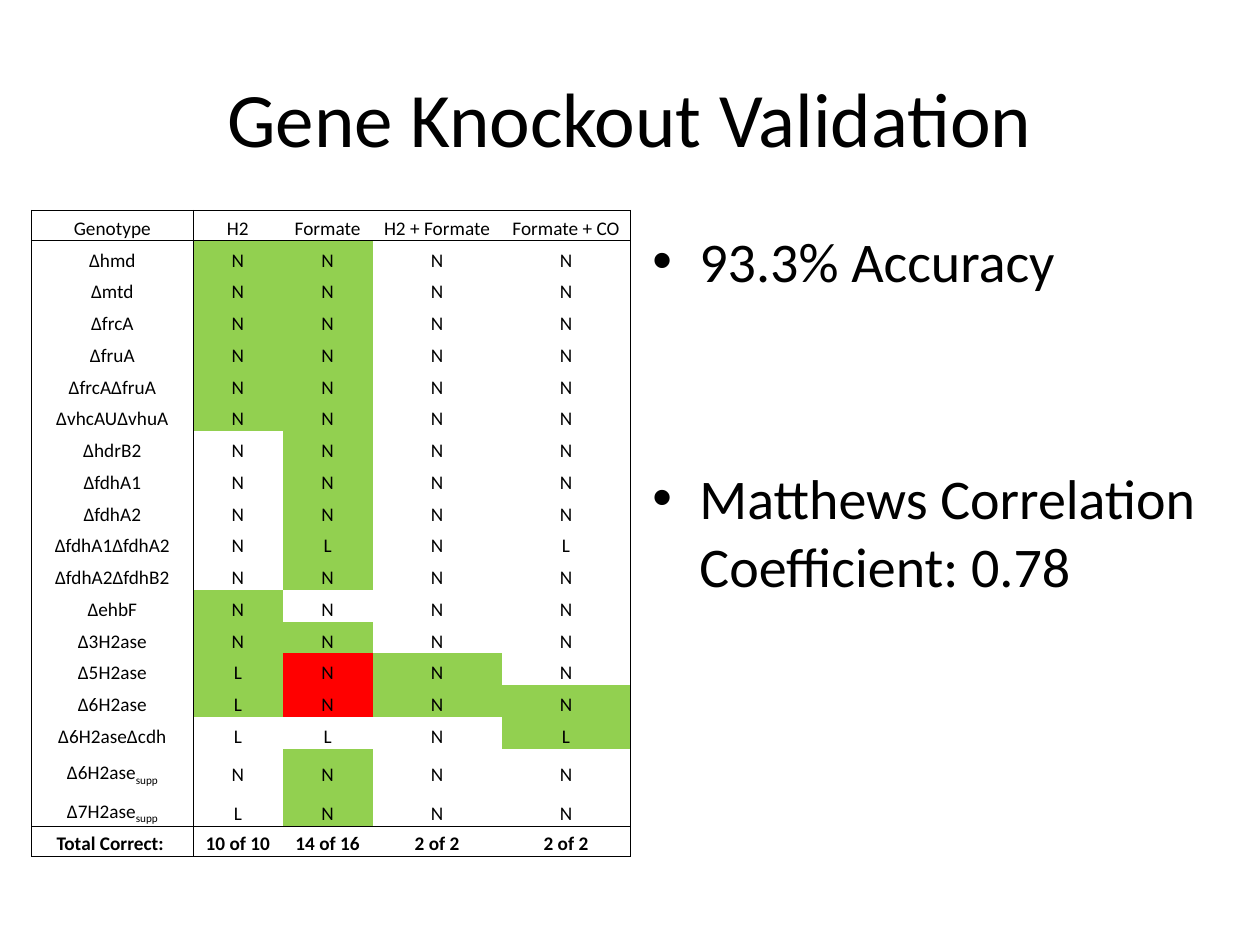
from pptx import Presentation
from pptx.dml.color import RGBColor
from pptx.enum.text import MSO_ANCHOR, PP_ALIGN
from pptx.oxml.ns import qn
from pptx.util import Cm, Pt
from lxml import etree

CENTER = PP_ALIGN.CENTER
MIDDLE, BOTTOM = MSO_ANCHOR.MIDDLE, MSO_ANCHOR.BOTTOM
FONT = "Calibri"
COLORS = {"text": "000000", "correct": "92D050", "wrong": "FF0000"}
FILLS = {"G": "correct", "R": "wrong"}


def format_run(run, size, bold=False):
    run.font.name = FONT
    run.font.size = Pt(size)
    run.font.bold = bold
    run.font.color.rgb = RGBColor.from_string(COLORS["text"])


def add_border(cell, side, visible):
    line = etree.SubElement(cell._tc.get_or_add_tcPr(), qn("a:ln" + side), w=str(Pt(0.5)))
    if visible:
        fill = etree.SubElement(line, qn("a:solidFill"))
        etree.SubElement(fill, qn("a:srgbClr"), val=COLORS["text"])
    else:
        etree.SubElement(line, qn("a:noFill"))


prs = Presentation()
prs.slide_width, prs.slide_height = Cm(25.4), Cm(19.05)
slide = prs.slides.add_slide(prs.slide_layouts[5])

# Title
title = slide.shapes.title
title.left, title.top, title.width, title.height = Cm(1.27), Cm(0.76), Cm(22.86), Cm(3.18)
title.text_frame.text = "Gene Knockout Validation"
title.text_frame.vertical_anchor = MIDDLE
title.text_frame.paragraphs[0].alignment = CENTER
format_run(title.text_frame.paragraphs[0].runs[0], 44)

# Table content: genotype, growth per medium, fill per medium (G correct, R wrong)
knockouts = [
    ("∆hmd", "NNNN", "GG--"),
    ("∆mtd", "NNNN", "GG--"),
    ("∆frcA", "NNNN", "GG--"),
    ("∆fruA", "NNNN", "GG--"),
    ("∆frcA∆fruA", "NNNN", "GG--"),
    ("∆vhcAU∆vhuA", "NNNN", "GG--"),
    ("∆hdrB2", "NNNN", "-G--"),
    ("∆fdhA1", "NNNN", "-G--"),
    ("∆fdhA2", "NNNN", "-G--"),
    ("∆fdhA1∆fdhA2", "NLNL", "-G--"),
    ("∆fdhA2∆fdhB2", "NNNN", "-G--"),
    ("∆ehbF", "NNNN", "G---"),
    ("∆3H2ase", "NNNN", "GG--"),
    ("∆5H2ase", "LNNN", "GRG-"),
    ("∆6H2ase", "LNNN", "GRGG"),
    ("∆6H2ase∆cdh", "LLNL", "---G"),
    ("∆6H2ase_supp", "NNNN", "-G--"),
    ("∆7H2ase_supp", "LNNN", "-G--"),
]
header = ("Genotype", ["H2", "Formate", "H2 + Formate", "Formate + CO"], "----")
totals = ("Total Correct: ", ["10 of 10", "14 of 16", "2 of 2", "2 of 2"], "----")
rows = [header, *knockouts, totals]
column_widths = [3.25, 1.81, 1.81, 2.6, 2.6]
row_heights = [0.61] + [0.64] * 16 + [0.78] * 2 + [0.61]
ruled_rows = {0, 1, len(rows) - 1, len(rows)}
ruled_columns = {0, 1, len(column_widths)}

# Table
results = slide.shapes.add_table(
    len(rows), len(column_widths), Cm(0.64), Cm(4.24),
    Cm(sum(column_widths)), Cm(sum(row_heights))).table
results.first_row = results.horz_banding = False
for column, width in zip(results.columns, column_widths):
    column.width = Cm(width)
for r, (genotype, growth, fills) in enumerate(rows):
    results.rows[r].height = Cm(row_heights[r])
    for c, (text, fill) in enumerate(zip([genotype, *growth], "-" + fills)):
        cell = results.cell(r, c)
        cell.margin_left = cell.margin_right = cell.margin_top = Cm(0.02)
        cell.margin_bottom = 0
        cell.vertical_anchor = BOTTOM
        paragraph = cell.text_frame.paragraphs[0]
        paragraph.alignment = CENTER
        base, _, subscript = text.partition("_")
        paragraph.text = base
        if subscript:
            paragraph.add_run().text = subscript
        for run in paragraph.runs:
            format_run(run, 11, bold=r == len(rows) - 1)
        if subscript:
            paragraph.runs[1].font._element.set("baseline", "-25000")
        add_border(cell, "L", c in ruled_columns)
        add_border(cell, "R", c + 1 in ruled_columns)
        add_border(cell, "T", r in ruled_rows)
        add_border(cell, "B", r + 1 in ruled_rows)
        if fill in FILLS:
            cell.fill.solid()
            cell.fill.fore_color.rgb = RGBColor.from_string(COLORS[FILLS[fill]])
        else:
            cell.fill.background()

# Validation scores
scores = slide.shapes.add_textbox(Cm(12.9), Cm(4.45), Cm(11.63), Cm(12.57)).text_frame
scores.word_wrap = True
scores.text = "93.3% Accuracy\nMatthews Correlation Coefficient: 0.78"
for paragraph, gap in zip(scores.paragraphs, (0, 97)):
    paragraph.space_before = Pt(gap)
    format_run(paragraph.runs[0], 32)
    properties = paragraph._p.get_or_add_pPr()
    properties.set("marL", str(Cm(0.95)))
    properties.set("indent", str(-Cm(0.95)))
    etree.SubElement(properties, qn("a:buFont"), typeface="Arial")
    etree.SubElement(properties, qn("a:buChar"), char="•")

prs.save("out.pptx")
